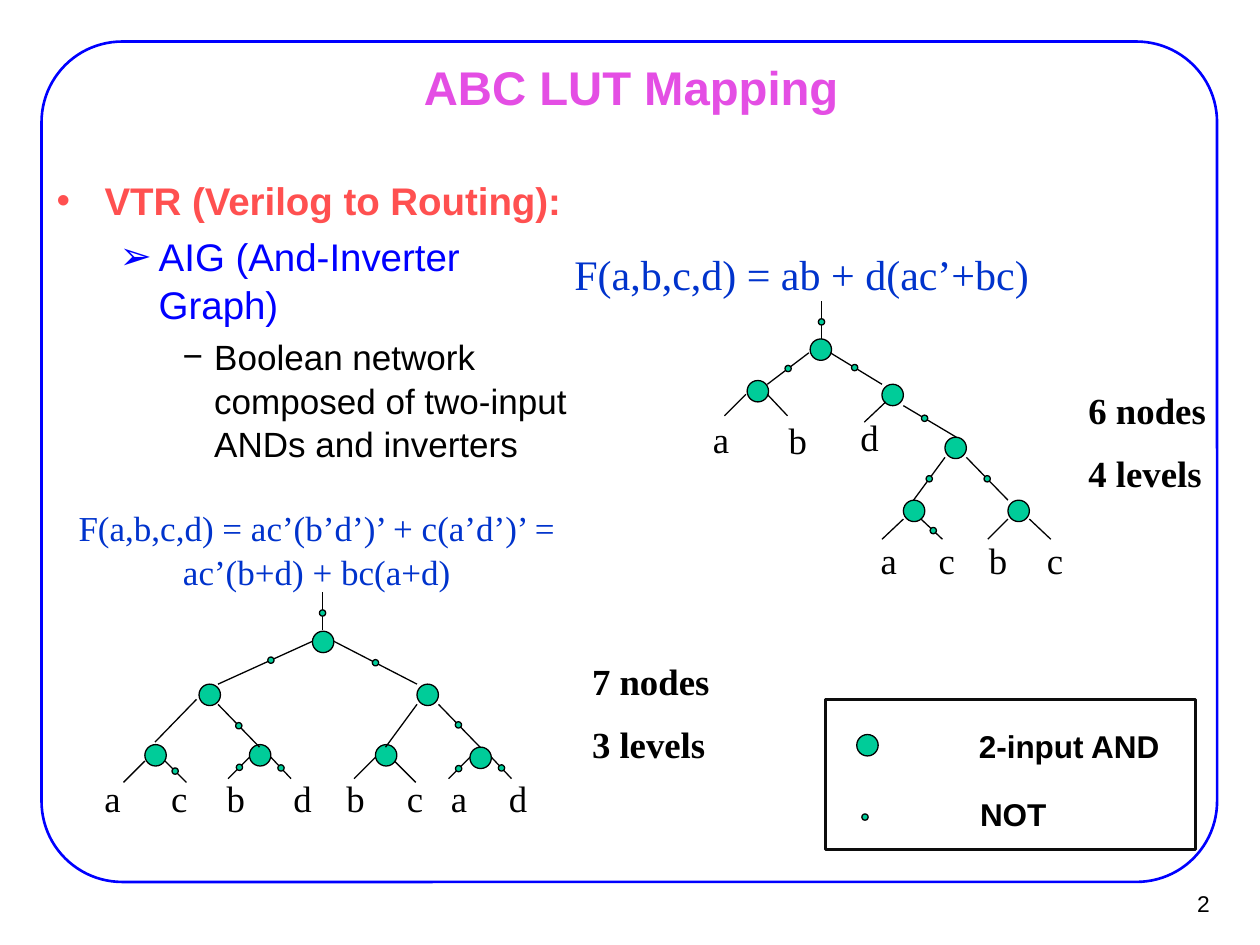
from lxml.etree import SubElement
from pptx import Presentation
from pptx.dml.color import RGBColor
from pptx.enum.shapes import MSO_CONNECTOR as Link, MSO_SHAPE as Shape
from pptx.enum.text import MSO_ANCHOR as Anchor, PP_ALIGN as Align
from pptx.oxml.ns import qn
from pptx.util import Inches, Pt

COLORS = {
    "frame": "0000FF", "title": "E44EE4", "topic": "FF5050", "subtopic": "0000FF",
    "formula": "0033CC", "node": "00CC99", "ink": "000000", "legend": "0D0D0D",
}
SANS, SERIF = "Arial", "Times New Roman"
COLUMNS, ROWS = 100, 75  # page grid, in tenths of an inch
NODE, INVERTER = 1.7, 0.5  # circle diameters in grid cells


def cells(*counts):
    return [Inches(count / 10) for count in counts]


def color(name):
    return RGBColor.from_string(COLORS[name])


def write(para, text, size=21, font=SERIF, ink="ink", bold=False, align=None,
          before=0, spacing=None):
    """Fill one paragraph with a single formatted span."""
    para.alignment = align
    para.space_before = Pt(before)
    para.line_spacing = spacing
    span = para.add_run()
    span.text = text
    span.font.size, span.font.name, span.font.bold = Pt(size), font, bold
    span.font.color.rgb = color(ink)


def add_text(page, box, *lines, before=0, **style):
    frame = page.shapes.add_textbox(*cells(*box)).text_frame
    frame.word_wrap = True
    for index, line in enumerate(lines):
        para = frame.add_paragraph() if index else frame.paragraphs[0]
        write(para, line, before=before if index else 0, **style)
    return frame


def add_outline(page, kind, box, ink="ink", width=0.75, fill=None):
    shape = page.shapes.add_shape(kind, *cells(*box))
    shape.shadow.inherit = False
    shape.line.color.rgb, shape.line.width = color(ink), Pt(width)
    if fill:
        shape.fill.solid()
        shape.fill.fore_color.rgb = color(fill)
    else:
        shape.fill.background()
    return shape


def add_circle(page, left, top, size):
    add_outline(page, Shape.OVAL, (left, top, size, size), fill="node")


def add_edge(page, x1, y1, x2, y2, share=None):
    """Draw an edge; share places an inverter along it."""
    edge = page.shapes.add_connector(Link.STRAIGHT, *cells(x1, y1, x2, y2))
    edge.line.color.rgb, edge.line.width = color("ink"), Pt(0.75)
    SubElement(edge._element.spPr, qn("a:effectLst"))
    if share:
        add_circle(page, x1 + (x2 - x1) * share - INVERTER / 2,
                   y1 + (y2 - y1) * share - INVERTER / 2, INVERTER)


def add_graph(page, origin, nodes, edges, labels):
    """Draw an and-inverter graph, its parts given relative to origin."""
    left, top = origin
    for x, y in nodes:
        add_circle(page, left + x, top + y, NODE)
    for x1, y1, x2, y2, *share in edges:
        add_edge(page, left + x1, top + y1, left + x2, top + y2, *share)
    for text, x, y in labels:
        add_text(page, (left + x, top + y, 4.2, 4), text)


def add_frame(page, box):
    frame = add_outline(page, Shape.ROUNDED_RECTANGLE, box, "frame", 1.5)
    frame.adjustments[0] = 0.096


def add_title(page, box, text):
    title = page.shapes.title
    title.left, title.top, title.width, title.height = cells(*box)
    title.text_frame.vertical_anchor = Anchor.MIDDLE
    write(title.text_frame.paragraphs[0], text, size=27, font=SANS, ink="title",
          bold=True, align=Align.CENTER)


def add_outline_text(page, box, items):
    frame = page.shapes.add_textbox(*cells(*box)).text_frame
    frame.word_wrap = True
    frame.margin_left = frame.margin_right = Inches(0.11)
    frame.margin_top = frame.margin_bottom = Inches(0.06)
    for level, (text, mark, margin, hang, style) in enumerate(items):
        para = frame.add_paragraph() if level else frame.paragraphs[0]
        para.level = level
        write(para, text, font=SANS, before=style["size"] * 0.2, spacing=1.04, **style)
        props = para._p.get_or_add_pPr()
        props.set("marL", str(Inches(margin)))
        props.set("indent", str(-Inches(hang)))
        SubElement(props, qn("a:buFont")).set("typeface", SANS)
        SubElement(props, qn("a:buChar")).set("char", mark)


def add_legend(page, box):
    left, top, _, _ = box
    add_circle(page, left + 2.5, top + 2.8, NODE)
    add_circle(page, left + 2.9, top + 9.1, INVERTER)
    for text, x, y in (("2-input AND", 11.2, 1.7), ("NOT", 11.3, 7.1)):
        add_text(page, (left + x, top + y, 19, 4), text, size=18, font=SANS, bold=True)
    add_outline(page, Shape.RECTANGLE, box, "legend", 1.5)


def main():
    deck = Presentation()
    deck.slide_width, deck.slide_height = cells(COLUMNS, ROWS)
    page = deck.slides.add_slide(deck.slide_layouts[5])

    # Frame, page number and title
    add_frame(page, (3.3, 3.3, 93.3, 66.7))
    add_text(page, (90.9, 70.1, 6.1, 3.7), "2", size=13, font=SANS, align=Align.RIGHT)
    add_title(page, (7.6, 4.4, 85, 4.9), "ABC LUT Mapping")

    # Formulas and graph sizes
    add_text(page, (44.6, 19.2, 52.5, 5), "F(a,b,c,d) = ab + d(ac’+bc)",
             size=24, ink="formula")
    add_text(page, (3.5, 39.6, 43.3, 7.7),
             "F(a,b,c,d) = ac’(b’d’)’ + c(a’d’)’ = ac’(b+d) + bc(a+d)",
             size=20, ink="formula", align=Align.CENTER, spacing=1.04)
    for left, top, lines in ((85.4, 30.3, ("6 nodes", "4 levels")),
                             (46, 51.8, ("7 nodes", "3 levels"))):
        add_text(page, (left, top, 14.2, 9.8), *lines, bold=True, before=10.5)

    # Graph with four levels
    add_graph(
        page, (55, 23),
        nodes=[(9.3, 3.9), (4.3, 7.2), (15, 7.5), (20, 11.7), (16.7, 16.7), (25, 16.7)],
        edges=[(10.2, 0.9, 10.2, 3.9, 0.55),
               (10.9, 5, 15, 7.5, 0.47), (9.2, 5, 5.9, 7.5, 0.5),
               (16.7, 9.2, 20.9, 11.7, 0.4), (15.3, 8.9, 13.6, 10.5),
               (4.2, 8.3, 2.5, 10), (5.9, 8.3, 7.5, 10),
               (21.7, 13.3, 25, 16.7, 0.5), (20, 13.3, 17.5, 16.7, 0.5),
               (16.7, 18.2, 15, 19.8), (18.1, 18.2, 19.8, 19.8, 0.57),
               (25, 18.2, 23.4, 19.8), (26.7, 18.2, 28.4, 19.8)],
        labels=[("a", 0.6, 9.6), ("b", 6.6, 9.7), ("d", 12.3, 9.4), ("a", 13.9, 19.2),
                ("c", 18.5, 19.2), ("b", 22.5, 19.2), ("c", 27.1, 19.2)])

    # Graph with three levels
    leaves = zip("acbdbcad", (0.3, 5.6, 10, 15.3, 19.5, 24.3, 27.8, 32.4))
    add_graph(
        page, (7, 47),
        nodes=[(17.8, 3.1), (8.8, 7.3), (26.1, 7.3), (4.5, 12.1), (12.8, 12.1),
               (22.8, 12.1), (30.3, 12.3)],
        edges=[(18.6, 0, 18.6, 3, 0.55),
               (17.8, 3.9, 10.3, 7.3, 0.44), (19.5, 3.9, 26.1, 7.3, 0.5),
               (8.6, 8.5, 5.3, 11.9), (10.3, 8.9, 13.6, 12.3, 0.5),
               (26.1, 8.9, 23.6, 12.3), (27.8, 8.9, 31.1, 12.3, 0.48),
               (4.5, 13.4, 2.8, 15.1), (6.1, 13.4, 7.8, 15.1, 0.47),
               (12.8, 13.1, 11.1, 14.8, 0.47), (14.5, 13.1, 16.1, 14.8, 0.5),
               (22.8, 13.1, 21.1, 14.8), (24.3, 13.4, 26, 15.1),
               (30.3, 13.1, 28.6, 14.8, 0.53), (32, 13.1, 33.6, 14.8, 0.5)],
        labels=[(text, x, 14.1) for text, x in leaves])

    # Outline text: text, bullet, margin, hanging indent, format
    add_outline_text(page, (3.4, 13.3, 43.5, 20.9), [
        ("VTR (Verilog to Routing):", "•", 0.38, 0.38,
         dict(size=22, ink="topic", bold=True)),
        ("AIG (And-Inverter Graph)", "➢", 0.81, 0.31, dict(size=22, ink="subtopic")),
        ("Boolean network composed of two-input ANDs and inverters", "−", 1.25, 0.25,
         dict(size=20)),
    ])

    add_legend(page, (65.5, 55.5, 29.4, 11.9))
    deck.save("out.pptx")


if __name__ == "__main__":
    main()
